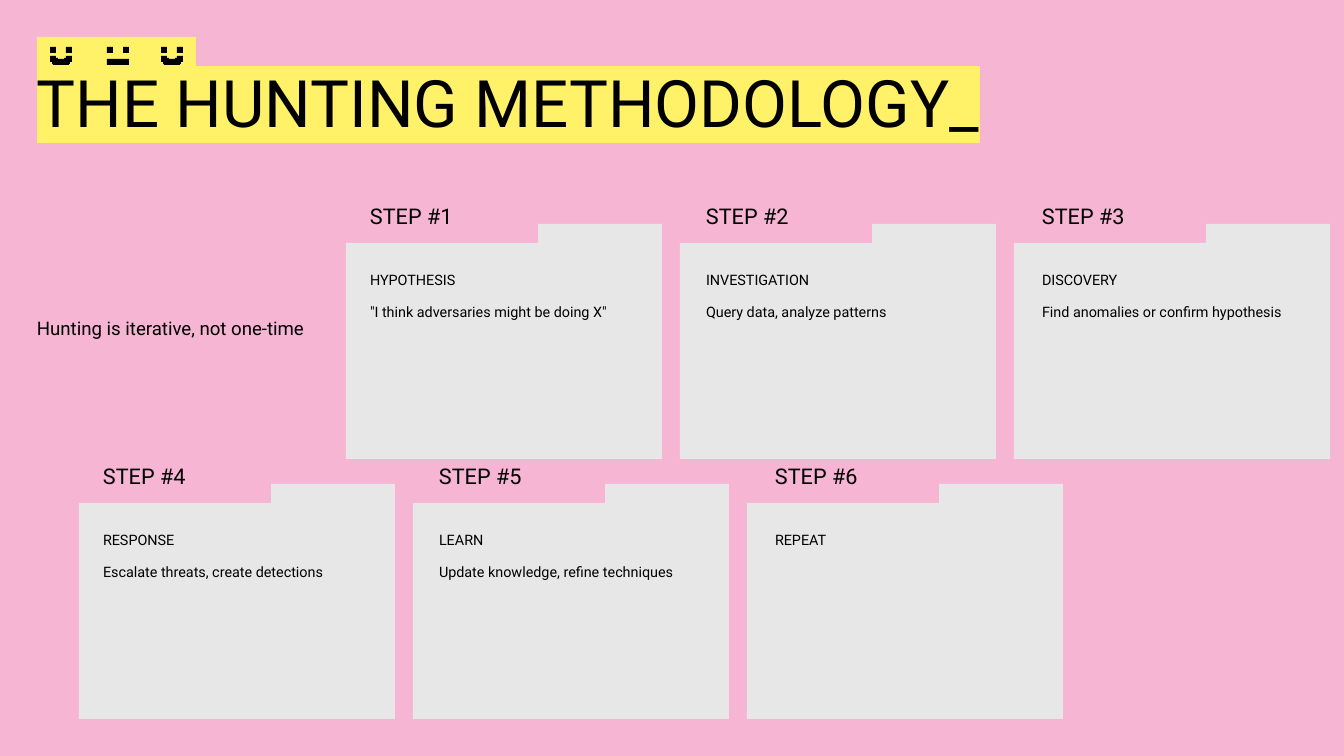
from dataclasses import dataclass

from lxml.etree import SubElement
from pptx import Presentation
from pptx.dml.color import RGBColor
from pptx.enum.shapes import MSO_SHAPE as Shape
from pptx.enum.text import MSO_ANCHOR as Anchor, MSO_AUTO_SIZE as AutoSize, PP_ALIGN as Align
from pptx.oxml.ns import qn
from pptx.util import Emu, Pt

EMU_PER_PX = 914400 / 134.4


@dataclass(frozen=True)
class Theme:
    font: str = "Roboto"
    background: str = "F6B5D3"
    highlight: str = "FFF269"
    folder: str = "E7E7E7"
    ink: str = "000000"
    title_size: float = 35
    step_size: float = 11.6
    note_size: float = 10
    body_size: float = 7.7
    body_gap: float = 6.2


THEME = Theme()

# Each pixel-art part: left, top, width, height within its face.
EYES = [(0, 0, 6, 6), (16, 0, 6, 6)]
SMILE = [(0, 9, 6, 6), (2, 11, 6, 6), (3, 12, 16, 6), (14, 11, 6, 6), (16, 9, 6, 6)]
FLAT_MOUTH = [(0, 12, 22, 6)]
FACES = [(50, SMILE), (107, FLAT_MOUTH), (161, SMILE)]
FACE_TOP = 47

FOLDER_PITCH = 334
TEXT_PITCH = 336
TEXT_INSET = 11

# Each row: left and top of its first folder, then its steps.
ROWS = [
    (346, 243, [
        ("STEP #1", ["HYPOTHESIS", '"I think adversaries might be doing X"']),
        ("STEP #2", ["INVESTIGATION", "Query data, analyze patterns"]),
        ("STEP #3", ["DISCOVERY", "Find anomalies or confirm hypothesis"]),
    ]),
    (79, 503, [
        ("STEP #4", ["RESPONSE", "Escalate threats, create detections"]),
        ("STEP #5", ["LEARN", "Update knowledge, refine techniques"]),
        ("STEP #6", ["REPEAT"]),
    ]),
]


def px(length):
    return Emu(round(length * EMU_PER_PX))


def add_block(shapes, left, top, width, height, color):
    block = shapes.add_shape(Shape.RECTANGLE, px(left), px(top), px(width), px(height))
    block.shadow.inherit = False
    block.fill.solid()
    block.fill.fore_color.rgb = RGBColor.from_string(color)
    block.line.fill.background()


def write(frame, lines, size, anchor=Anchor.TOP, inset=0, spacing=1.0):
    """Fill a text frame with one left-aligned paragraph per line."""
    frame.word_wrap = True
    frame.auto_size = AutoSize.NONE
    frame.vertical_anchor = anchor
    frame.margin_left = frame.margin_right = px(inset)
    frame.margin_top = frame.margin_bottom = px(inset)
    frame.text = "\n".join(lines)
    for paragraph in frame.paragraphs:
        paragraph.alignment = Align.LEFT
        paragraph.line_spacing = spacing
        paragraph.space_before = paragraph.space_after = Pt(0)
        for run in paragraph.runs:
            run.font.name = THEME.font
            run.font.size = Pt(size)
            run.font.color.rgb = RGBColor.from_string(THEME.ink)


def add_text(slide, left, top, width, height, lines, size, **layout):
    box = slide.shapes.add_textbox(px(left), px(top), px(width), px(height))
    write(box.text_frame, lines, size, **layout)
    return box.text_frame


def add_faces(slide):
    add_block(slide.shapes, 37, 37, 159, 51, THEME.highlight)
    for left, mouth in FACES:
        face = slide.shapes.add_group_shape()
        for x, y, width, height in EYES + mouth:
            add_block(face.shapes, left + x, FACE_TOP + y, width, height, THEME.ink)


def set_title(slide, text):
    """Write the highlighted title and bring it in front of the faces' band."""
    title = slide.shapes.title
    title.left, title.top, title.width, title.height = map(px, (37, 77, 989, 124))
    write(title.text_frame, [text], THEME.title_size, spacing=0.8)
    # The schema wants the highlight directly after the text fill.
    run_properties = title.element.find(".//" + qn("a:rPr"))
    highlight = SubElement(run_properties, qn("a:highlight"))
    SubElement(highlight, qn("a:srgbClr"), val=THEME.highlight)
    run_properties.find(qn("a:solidFill")).addnext(highlight)
    title.element.getparent().append(title.element)


def add_folders(slide, left, top, count):
    folders = slide.shapes.add_group_shape()
    for column in range(count):
        x = left + column * FOLDER_PITCH
        add_block(folders.shapes, x, top, 316, 216, THEME.folder)
        add_block(folders.shapes, x + 192, top - 19, 124, 28, THEME.folder)


def add_step(slide, left, top, label, lines):
    body = add_text(slide, left, top + 15, 281, 185, lines, THEME.body_size,
                    inset=TEXT_INSET, spacing=1.15)
    for detail in body.paragraphs[1:]:
        detail.space_before = detail.space_after = Pt(THEME.body_gap)
    add_text(slide, left, top - 31, 174, 28, [label], THEME.step_size,
             anchor=Anchor.BOTTOM, inset=TEXT_INSET, spacing=0.8)


def main():
    deck = Presentation()
    deck.slide_width, deck.slide_height = px(1344), px(756)
    slide = deck.slides.add_slide(deck.slide_layouts[5])
    slide.background.fill.solid()
    slide.background.fill.fore_color.rgb = RGBColor.from_string(THEME.background)

    add_faces(slide)
    set_title(slide, "THE HUNTING METHODOLOGY_")
    add_text(slide, 37, 258, 309, 140, ["Hunting is iterative, not one-time"],
             THEME.note_size, anchor=Anchor.MIDDLE)
    for left, top, steps in ROWS:
        add_folders(slide, left, top, len(steps))
        for column, (label, lines) in enumerate(steps):
            add_step(slide, left + 13 + column * TEXT_PITCH, top, label, lines)

    deck.save("out.pptx")


if __name__ == "__main__":
    main()
